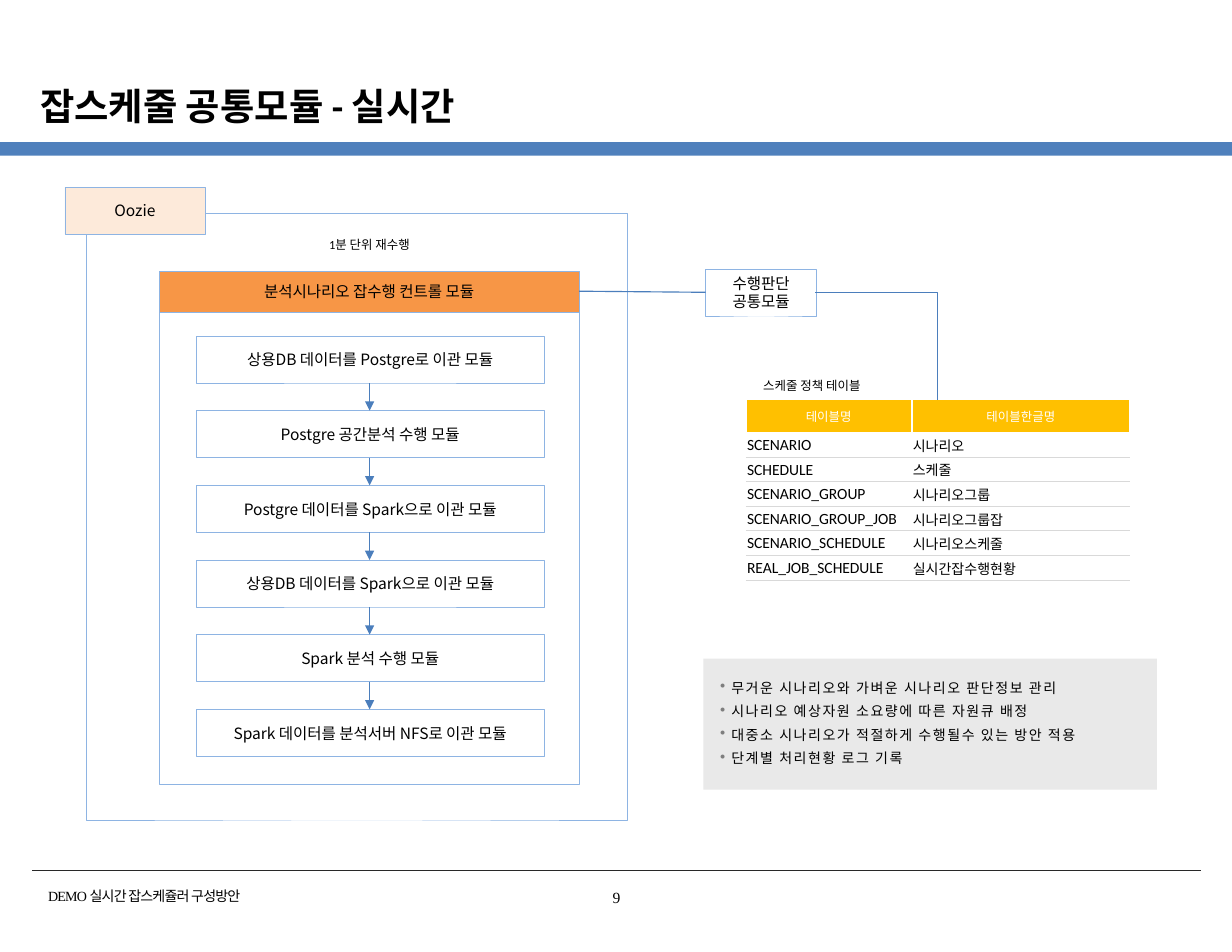
from lxml.etree import SubElement
from pptx import Presentation
from pptx.dml.color import RGBColor
from pptx.enum.shapes import MSO_CONNECTOR, MSO_SHAPE
from pptx.enum.text import MSO_ANCHOR, PP_ALIGN
from pptx.oxml.ns import qn
from pptx.util import Inches, Pt

NOTO = "Noto Sans CJK JP"
KOREAN = "Noto Sans CJK KR"
BLACK, WHITE = "000000", "FFFFFF"
EDGE, WIRE = "8EB4E3", "4B7EBC"
LEFT, CENTER = PP_ALIGN.LEFT, PP_ALIGN.CENTER
TOP, MIDDLE = MSO_ANCHOR.TOP, MSO_ANCHOR.MIDDLE
PLAIN_TABLE = "{2D5ABB26-0587-4C30-8999-92F81FD0307C}"


def color(code):
    return RGBColor.from_string(code)


def node(parent, tag, **attrs):
    """Append a DrawingML child element."""
    return SubElement(parent, qn("a:" + tag), **attrs)


class Page:
    """The current slide and its drawing style."""

    def __init__(self, deck):
        self.slide = deck.slides.add_slide(deck.slide_layouts[6])
        self.shapes = self.slide.shapes

    def run(self, para, text, size, font=NOTO, ink=BLACK, bold=False, gap=0):
        """Add one styled run; gap is the letter spacing in points."""
        run = para.add_run()
        run.text = text
        run.font.size = Pt(size)
        run.font.name = font
        run.font.bold = bold
        run.font.color.rgb = color(ink)
        props = run.font._element
        node(props, "ea", typeface=font if font == NOTO else KOREAN)
        if gap:
            props.set("spc", str(int(gap * 100)))

    def frame(self, shape, anchor, inset):
        frame = shape.text_frame
        frame.word_wrap = True
        frame.vertical_anchor = anchor
        side, top = inset
        frame.margin_left = frame.margin_right = Inches(side)
        frame.margin_top = frame.margin_bottom = Inches(top)
        return frame

    def box(self, x, y, w, h, lines=(), fill=WHITE, edge=EDGE, font=NOTO):
        shape = self.shapes.add_shape(
            MSO_SHAPE.RECTANGLE, Inches(x), Inches(y), Inches(w), Inches(h))
        shape.shadow.inherit = False
        if fill:
            shape.fill.solid()
            shape.fill.fore_color.rgb = color(fill)
        else:
            shape.fill.background()
        if edge:
            shape.line.color.rgb = color(edge)
            shape.line.width = Pt(0.25)
        else:
            shape.line.fill.background()
        frame = self.frame(shape, MIDDLE, (0, 0))
        for i, line in enumerate(lines):
            para = frame.add_paragraph() if i else frame.paragraphs[0]
            para.alignment = CENTER
            self.run(para, line, 10, font)

    def text(self, x, y, w, h, line, size, align=LEFT, anchor=TOP,
             inset=(0.1, 0.05), **style):
        area = self.shapes.add_textbox(
            Inches(x), Inches(y), Inches(w), Inches(h))
        para = self.frame(area, anchor, inset).paragraphs[0]
        para.alignment = align
        self.run(para, line, size, **style)

    def bullets(self, x, y, w, h, lines):
        area = self.shapes.add_textbox(
            Inches(x), Inches(y), Inches(w), Inches(h))
        frame = self.frame(area, TOP, (0, 0.01))
        for i, line in enumerate(lines):
            para = frame.add_paragraph() if i else frame.paragraphs[0]
            props = para._p.get_or_add_pPr()
            props.set("marL", str(Inches(0.12)))
            props.set("indent", str(Inches(-0.1)))
            node(node(props, "buClr"), "srgbClr", val="7E7E7E")
            node(props, "buSzPct", val="110000")
            node(props, "buChar", char="•")
            para.line_spacing = 1.11
            if i:
                para.space_before = Pt(3.1)
            self.run(para, line, 9, gap=1)

    def line(self, x1, y1, x2, y2, ink=WIRE, width=0.75, bent=False, arrow=False):
        kind = MSO_CONNECTOR.ELBOW if bent else MSO_CONNECTOR.STRAIGHT
        wire = self.shapes.add_connector(
            kind, Inches(x1), Inches(y1), Inches(x2), Inches(y2))
        wire.line.color.rgb = color(ink)
        wire.line.width = Pt(width)
        props = wire._element.spPr
        if bent:
            props.find(qn("a:prstGeom")).set("prst", "bentConnector2")
        if arrow:
            node(props.find(qn("a:ln")), "tailEnd", type="triangle")
        node(props, "effectLst")

    def border(self, cell, sides, ink, width):
        props = cell._tc.get_or_add_tcPr()
        for i, side in enumerate(sides):
            edge = props.makeelement(qn("a:ln" + side), {"w": str(Pt(width))})
            node(node(edge, "solidFill"), "srgbClr", val=ink)
            props.insert(i, edge)

    def table(self, x, y, widths, heights, rows):
        grid = self.shapes.add_table(
            len(rows), len(widths), Inches(x), Inches(y),
            Inches(sum(widths)), Inches(sum(heights))).table
        grid._tbl.tblPr.find(qn("a:tableStyleId")).text = PLAIN_TABLE
        grid.first_row = grid.horz_banding = False
        for col, width in zip(grid.columns, widths):
            col.width = Inches(width)
        for r, row in enumerate(rows):
            grid.rows[r].height = Inches(heights[r])
            for c, word in enumerate(row):
                cell = grid.cell(r, c)
                cell.vertical_anchor = MIDDLE
                para = cell.text_frame.paragraphs[0]
                if r == 0:
                    para.alignment = CENTER
                    cell.fill.solid()
                    cell.fill.fore_color.rgb = color("FFC000")
                    self.border(cell, "LR", WHITE, 1.5)
                    self.run(para, word, 8, "Calibri", WHITE)
                    continue
                cell.margin_left = cell.margin_right = Inches(0.01)
                cell.margin_top, cell.margin_bottom = Inches(0.01), 0
                cell.fill.background()
                self.border(cell, "B", "D9D9D9", 0.5)
                size, font = (9, KOREAN) if c else (10, "Calibri")
                self.run(para, word, size, font)


def main():
    deck = Presentation()
    deck.slide_width, deck.slide_height = Inches(11), Inches(8.5)
    page = Page(deck)

    # Title and footer
    page.box(0, 1.27, 11, 0.12, fill="4F80BC", edge=None)
    page.text(0.26, 0.67, 8.94, 0.54, "잡스케줄 공통모듈 - 실시간", 24,
              anchor=MIDDLE, font="Calibri", bold=True)
    page.line(0.29, 7.77, 10.72, 7.77, "282828", 0.25)
    page.text(0.43, 7.92, 3.16, 0.15, "DEMO 실시간 잡스케쥴러 구성방안", 9,
              inset=(0, 0), font="Times New Roman", gap=-0.5)
    page.box(5.3, 7.87, 0.41, 0.28, ["9"], edge=None, font="Times New Roman")

    # Job flow
    page.box(1.42, 2.79, 3.75, 4.21)
    page.box(1.42, 2.42, 3.75, 0.37, ["분석시나리오 잡수행 컨트롤 모듈"], "F79646")
    steps = [
        "상용DB 데이터를 Postgre로 이관 모듈",
        "Postgre 공간분석 수행 모듈",
        "Postgre 데이터를 Spark으로 이관 모듈",
        "상용DB 데이터를 Spark으로 이관 모듈",
        "Spark 분석 수행 모듈",
        "Spark 데이터를 분석서버 NFS로 이관 모듈",
    ]
    pitch, tall = 2 / 3, 0.42
    for i, step in enumerate(steps):
        y = 3 + i * pitch
        page.box(1.75, y, 3.11, tall, [step])
        if i:
            page.line(3.3, y - pitch + tall, 3.3, y, arrow=True)
    page.text(2.76, 2.07, 1.08, 0.24, "1분 단위 재수행", 8, CENTER, font="Calibri")
    page.box(0.77, 1.9, 4.83, 5.42, fill=None)
    page.box(0.58, 1.67, 1.25, tall, ["Oozie"], "FDEADA")

    # Schedule policy
    page.box(6.3, 2.4, 0.99, tall, ["수행판단", "공통모듈"])
    page.line(5.17, 2.6, 6.3, 2.61)
    page.table(6.66, 3.57, [1.48, 1.95], [0.29] + [0.22] * 6, [
        ("테이블명", "테이블한글명"),
        ("SCENARIO", "시나리오"),
        ("SCHEDULE", "스케줄"),
        ("SCENARIO_GROUP", "시나리오그룹"),
        ("SCENARIO_GROUP_JOB", "시나리오그룹잡"),
        ("SCENARIO_SCHEDULE", "시나리오스케줄"),
        ("REAL_JOB_SCHEDULE", "실시간잡수행현황"),
    ])
    page.text(6.59, 3.33, 1.32, 0.24, "스케줄 정책 테이블", 8, CENTER, font="Calibri")
    page.line(7.28, 2.61, 8.37, 3.57, bent=True)

    # Notes
    page.box(6.28, 5.88, 4.05, 1.17, fill="E9E9E9", edge=None)
    page.bullets(6.41, 6.04, 3.57, 0.81, [
        "무거운 시나리오와 가벼운 시나리오 판단정보 관리",
        "시나리오 예상자원 소요량에 따른 자원큐 배정",
        "대중소 시나리오가 적절하게 수행될수 있는 방안 적용",
        "단계별 처리현황 로그 기록",
    ])
    deck.save("out.pptx")


if __name__ == "__main__":
    main()
